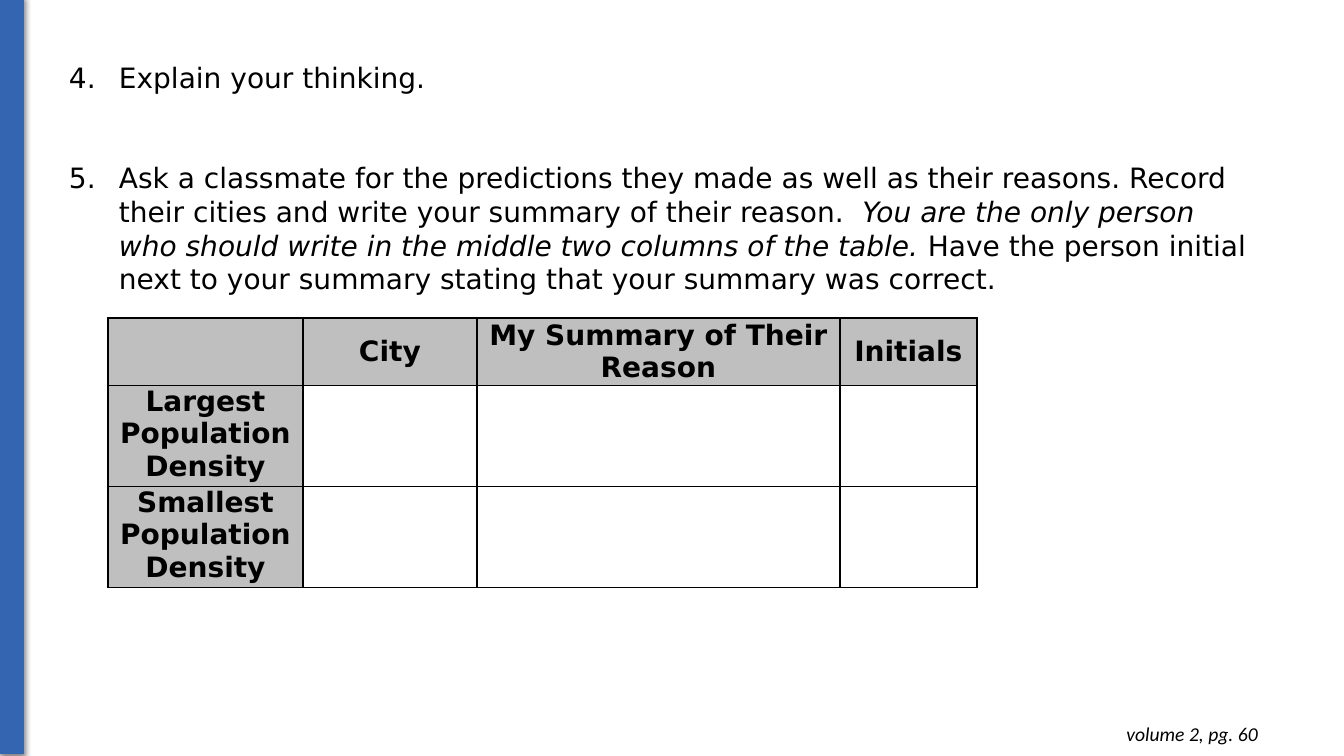
from dataclasses import dataclass

from lxml.etree import SubElement
from pptx import Presentation
from pptx.dml.color import RGBColor
from pptx.enum.shapes import MSO_SHAPE as SHAPE
from pptx.enum.text import MSO_ANCHOR as ANCHOR, MSO_AUTO_SIZE as AUTO_SIZE, PP_ALIGN as ALIGN
from pptx.oxml.ns import qn
from pptx.util import Emu, Pt

PX = 914400 / 100.8
BLACK = RGBColor(0x00, 0x00, 0x00)
BLUE = RGBColor(0x34, 0x65, 0xB0)
GRAY = RGBColor(0xBF, 0xBF, 0xBF)
BODY_FONT = "DejaVu Sans"
NOTE_FONT = "Calibri"
FIRST_NUMBER = 4


@dataclass(frozen=True)
class Span:
    text: str
    italic: bool = False


@dataclass(frozen=True)
class Question:
    spans: tuple[Span, ...]
    space_before: int = 0


QUESTIONS = (
    Question((Span("Explain your thinking."),)),
    Question((
        Span("Ask a classmate for the predictions they made as well as their reasons. "
             "Record their cities and write your summary of their reason.  "),
        Span("You are the only person who should write in the middle two columns "
             "of the table.", italic=True),
        Span(" Have the person initial next to your summary stating that your "
             "summary was correct."),
    ), space_before=48),
)
COLUMNS = (("", 195), ("City", 174), ("My Summary of Their Reason", 363), ("Initials", 137))
ROWS = (("", 67), ("Largest Population Density", 101), ("Smallest Population Density", 101))


def px(n: int) -> Emu:
    return Emu(round(n * PX))


def add_run(p, text: str, *, size: int = 20, font: str = BODY_FONT,
            bold: bool = False, italic: bool = False) -> None:
    r = p.add_run()
    r.text = text
    r.font.size, r.font.name = Pt(size), font
    r.font.bold, r.font.italic = bold, italic
    r.font.color.rgb = BLACK


def add_box(slide, x: int, y: int, w: int, h: int, inset: int = 5):
    """Add an empty wrapping text box and return its text frame."""
    tf = slide.shapes.add_textbox(px(x), px(y), px(w), px(h)).text_frame
    tf.word_wrap = True
    tf.auto_size = AUTO_SIZE.SHAPE_TO_FIT_TEXT
    tf.margin_top = tf.margin_bottom = px(inset)
    return tf


def number_paragraph(p, indent: int) -> None:
    pPr = p._p.get_or_add_pPr()
    pPr.set("marL", str(px(indent)))
    pPr.set("indent", str(-px(indent)))
    SubElement(SubElement(pPr, qn("a:buClr")), qn("a:srgbClr"), val=str(BLACK))
    SubElement(pPr, qn("a:buFont"), typeface=BODY_FONT)
    SubElement(pPr, qn("a:buAutoNum"), type="arabicPeriod", startAt=str(FIRST_NUMBER))


def add_side_bar(slide) -> None:
    sp = slide.shapes.add_shape(SHAPE.RECTANGLE, 0, px(-3), px(24), px(757))
    sp.fill.solid()
    sp.fill.fore_color.rgb = BLUE
    sp.line.color.rgb = BLUE
    sp.line.width = Pt(0.75)
    sp.shadow.inherit = False
    effects = sp._element.spPr.find(qn("a:effectLst"))
    shadow = SubElement(effects, qn("a:outerShdw"), blurRad=str(Pt(4.5)),
                        dist=str(Pt(1.5)), dir="5400000", rotWithShape="0")
    color = SubElement(shadow, qn("a:srgbClr"), val=str(BLACK))
    SubElement(color, qn("a:alpha"), val="50000")


def add_questions(slide) -> None:
    tf = add_box(slide, 59, 55, 1209, 248)
    for i, question in enumerate(QUESTIONS):
        p = tf.add_paragraph() if i else tf.paragraphs[0]
        p.line_spacing = Pt(24)
        p.space_before = Pt(question.space_before)
        number_paragraph(p, 50)
        for span in question.spans:
            add_run(p, span.text, italic=span.italic)


def add_borders(cell) -> None:
    tcPr = cell._tc.get_or_add_tcPr()
    for side in "LRTB":
        ln = SubElement(tcPr, qn(f"a:ln{side}"), w=str(Pt(1)))
        SubElement(SubElement(ln, qn("a:solidFill")), qn("a:srgbClr"), val=str(BLACK))


def format_cell(cell, text: str, *, heading: bool, anchor: ANCHOR) -> None:
    add_borders(cell)
    if heading:
        cell.fill.solid()
        cell.fill.fore_color.rgb = GRAY
    else:
        cell.fill.background()
    if text:
        cell.margin_left = cell.margin_right = px(6)
        cell.margin_top = cell.margin_bottom = 0
        cell.vertical_anchor = anchor
        p = cell.text_frame.paragraphs[0]
        p.alignment = ALIGN.CENTER
        add_run(p, text, bold=True)


def add_prediction_table(slide) -> None:
    width = sum(w for _, w in COLUMNS)
    height = sum(h for _, h in ROWS)
    table = slide.shapes.add_table(len(ROWS), len(COLUMNS), px(108), px(318),
                                   px(width), px(height)).table
    table.first_row = table.horz_banding = False
    for column, (_, w) in zip(table.columns, COLUMNS):
        column.width = px(w)
    for i, (row_title, h) in enumerate(ROWS):
        table.rows[i].height = px(h)
        for j, (column_title, _) in enumerate(COLUMNS):
            text = column_title if i == 0 else row_title if j == 0 else ""
            format_cell(table.cell(i, j), text, heading=i == 0 or j == 0,
                        anchor=ANCHOR.TOP if i else ANCHOR.MIDDLE)


def add_page_note(slide) -> None:
    tf = add_box(slide, 978, 712, 290, 44, inset=10)
    tf.margin_left = tf.margin_right = px(10)
    p = tf.paragraphs[0]
    p.alignment = ALIGN.RIGHT
    add_run(p, "volume 2, pg. 60", size=14, font=NOTE_FONT, italic=True)


def main() -> None:
    prs = Presentation()
    prs.slide_width, prs.slide_height = px(1344), px(756)
    slide = prs.slides.add_slide(prs.slide_layouts[6])
    add_side_bar(slide)
    add_page_note(slide)
    add_questions(slide)
    add_prediction_table(slide)
    prs.save("out.pptx")


if __name__ == "__main__":
    main()
